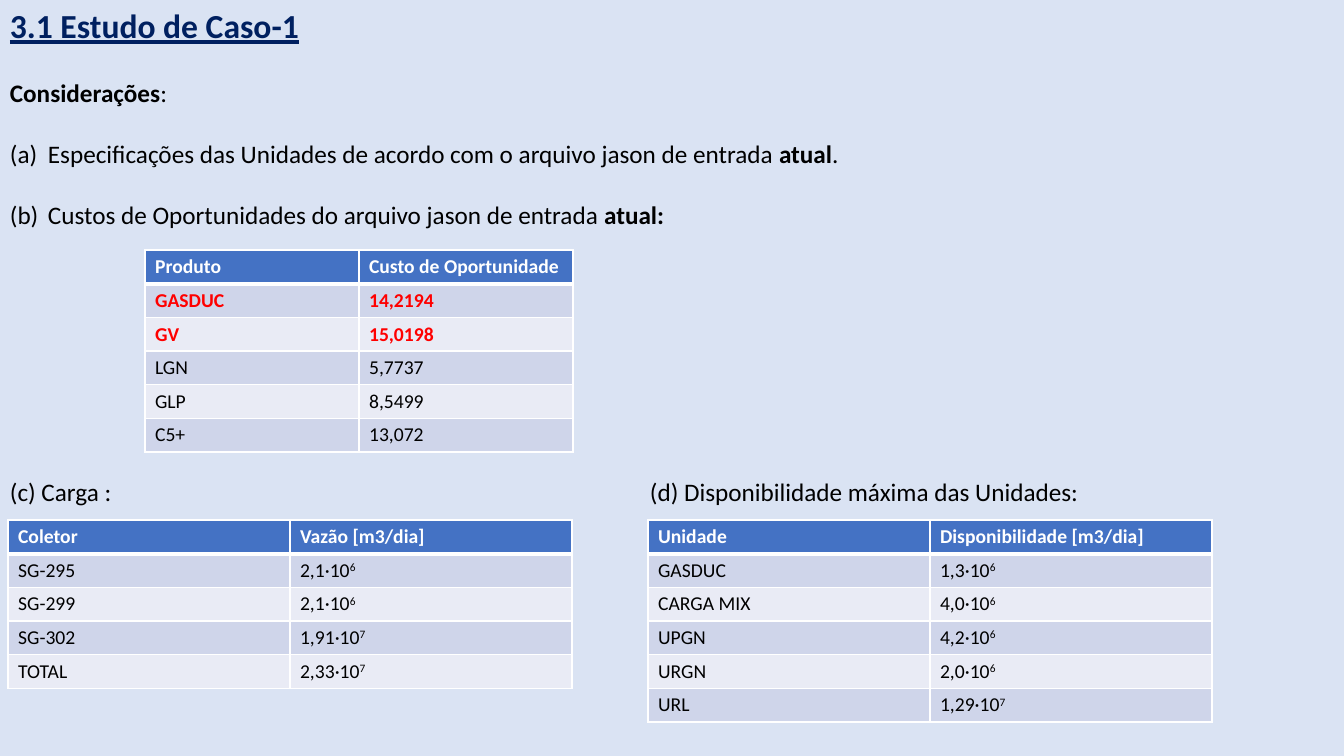
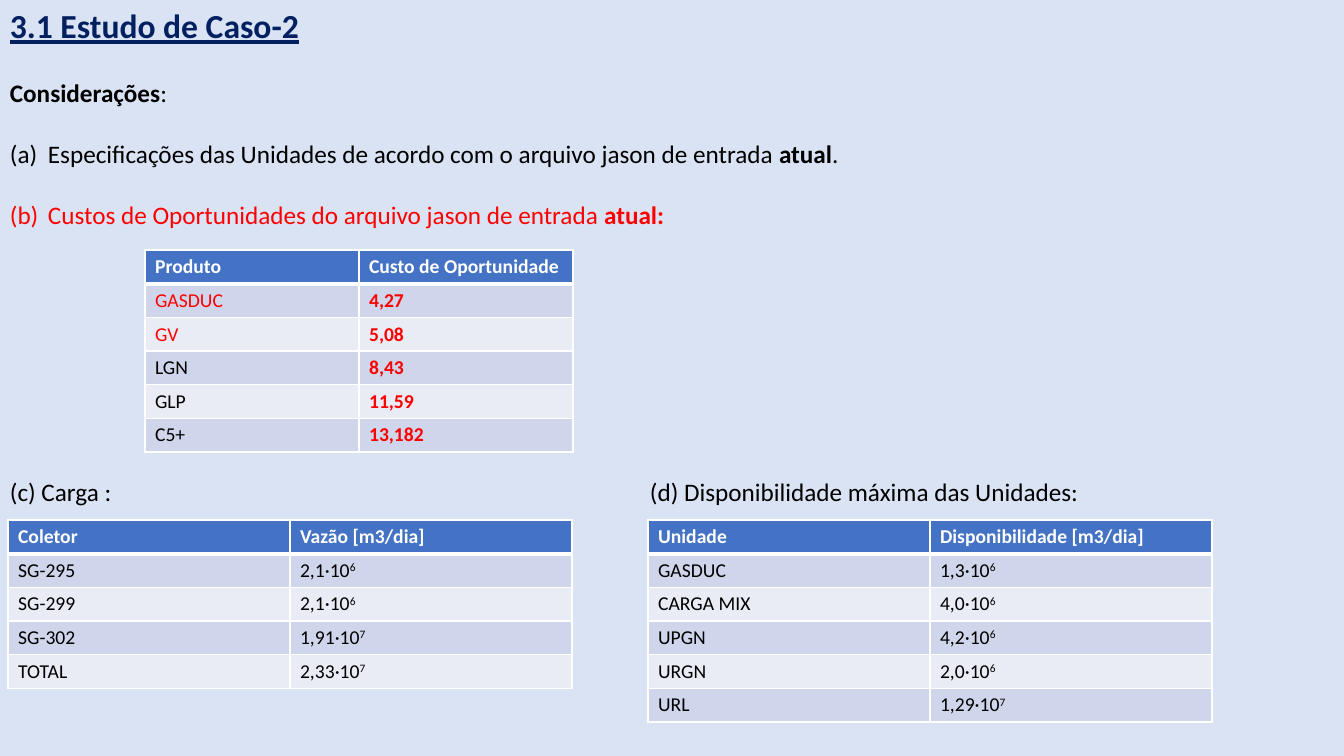
from lxml.etree import SubElement
from pptx import Presentation
from pptx.dml.color import RGBColor
from pptx.oxml.ns import qn
from pptx.util import Emu, Pt

PX = 914400 / 100.8
SLIDE_W, SLIDE_H = 1344, 756
FONT = "Calibri"
COLORS = {
    "background": "DAE3F3", "title": "002060", "text": "000000", "alert": "FF0000",
    "header": "4472C4", "odd": "CFD5EA", "even": "E9EBF5", "white": "FFFFFF",
}
TITLE_PT, BODY_PT, TABLE_PT = 24, 18, 14
ROW_H = 33

# Each style is (colour, bold)
PLAIN, BOLD = ("text", False), ("text", True)
RED, RED_BOLD = ("alert", False), ("alert", True)
HEADER = ("white", True)

COST_HEADER = ("Produto", "Custo de Oportunidade")
PRODUCTS = ("GASDUC", "GV", "LGN", "GLP", "C5+")
CASES = [
    {
        "title": "3.1 Estudo de Caso-1",
        "costs": ("14,2194", "15,0198", "5,7737", "8,5499", "13,072"),
        "cost_note": (PLAIN, BOLD),
        "product_styles": (RED_BOLD, RED_BOLD, PLAIN, PLAIN, PLAIN),
        "cost_styles": (RED_BOLD, RED_BOLD, PLAIN, PLAIN, PLAIN),
    },
    {
        "title": "3.1 Estudo de Caso-2",
        "costs": ("4,27", "5,08", "8,43", "11,59", "13,182"),
        "cost_note": (RED, RED_BOLD),
        "product_styles": (RED, RED, PLAIN, PLAIN, PLAIN),
        "cost_styles": (RED_BOLD,) * 5,
    },
]

# A caret marks the exponent of a value
FLOW_TABLES = [
    {
        "left": 8, "label": "(c) Carga :",
        "header": ("Coletor", "Vazão [m3/dia]"),
        "rows": [("SG-295", "2,1·10^6"), ("SG-299", "2,1·10^6"),
                 ("SG-302", "1,91·10^7"), ("TOTAL", "2,33·10^7")],
    },
    {
        "left": 648, "label": "(d) Disponibilidade máxima das Unidades:",
        "header": ("Unidade", "Disponibilidade [m3/dia]"),
        "rows": [("GASDUC", "1,3·10^6"), ("CARGA MIX", "4,0·10^6"), ("UPGN", "4,2·10^6"),
                 ("URGN", "2,0·10^6"), ("URL", "1,29·10^7")],
    },
]


def px(length):
    return Emu(round(length * PX))


def rgb(name):
    return RGBColor.from_string(COLORS[name])


def format_run(run, size, color, bold):
    font = run.font
    font.name, font.size, font.bold = FONT, Pt(size), bold
    font.color.rgb = rgb(color)


def add_runs(paragraph, runs, size):
    """Add (text, style) pairs to a paragraph."""
    for text, style in runs:
        run = paragraph.add_run()
        run.text = text
        format_run(run, size, *style)


def add_text_frame(slide, left, top, width, height):
    frame = slide.shapes.add_textbox(px(left), px(top), px(width), px(height)).text_frame
    frame.word_wrap = True
    return frame


def add_title(slide, title):
    paragraph = add_text_frame(slide, 0, 0, 916, 50).paragraphs[0]
    add_runs(paragraph, [(title, ("title", True))], TITLE_PT)
    paragraph.runs[0].font.underline = True


def number_paragraph(paragraph):
    """Number a paragraph as (a), (b), ... with a hanging indent."""
    properties = paragraph._p.get_or_add_pPr()
    properties.set("marL", str(px(38)))
    properties.set("indent", str(-px(38)))
    SubElement(properties, qn("a:buFont"), typeface="+mj-lt")
    SubElement(properties, qn("a:buAutoNum"), type="alphaLcParenBoth")


def add_considerations(slide, note_style, note_bold_style):
    considerations = [
        [("Considerações", BOLD), (":", PLAIN)],
        [("Especificações das Unidades de acordo com o arquivo jason de entrada ", PLAIN),
         ("atual", BOLD), (".", PLAIN)],
        [("Custos de Oportunidades do arquivo jason de entrada ", note_style),
         ("atual:", note_bold_style)],
    ]
    frame = add_text_frame(slide, 0, 72, 1100, 164)
    for index, runs in enumerate(considerations):
        paragraph = frame.add_paragraph() if index else frame.paragraphs[0]
        add_runs(paragraph, runs, BODY_PT)
        if index:
            paragraph.space_before = Pt(22)
            number_paragraph(paragraph)


def set_borders(cell, row):
    """Draw thin white borders, with a thick one under the header row."""
    properties = cell._tc.get_or_add_tcPr()
    thick_sides = {0: "lnB", 1: "lnT"}
    for position, side in enumerate(("lnL", "lnR", "lnT", "lnB")):
        weight = 3 if thick_sides.get(row) == side else 1
        line = SubElement(properties, qn(f"a:{side}"), w=str(Pt(weight)))
        fill = SubElement(line, qn("a:solidFill"))
        SubElement(fill, qn("a:srgbClr"), val=COLORS["white"])
        properties.insert(position, line)


def fill_cell(cell, row, text, style):
    base, _, exponent = text.partition("^")
    paragraph = cell.text_frame.paragraphs[0]
    add_runs(paragraph, [(base, style)], TABLE_PT)
    if exponent:
        add_runs(paragraph, [(exponent, style)], TABLE_PT)
        paragraph.runs[-1].font._element.set("baseline", "30000")
    cell.fill.solid()
    cell.fill.fore_color.rgb = rgb("header" if row == 0 else "odd" if row % 2 else "even")
    set_borders(cell, row)


def add_data_table(slide, left, top, column_width, header, rows):
    """Add a table whose rows hold (text, style) pairs."""
    lines = [[(text, HEADER) for text in header], *rows]
    table = slide.shapes.add_table(len(lines), len(header), px(left), px(top),
                                   px(column_width * len(header)),
                                   px(ROW_H * len(lines))).table
    for row, line in enumerate(lines):
        for column, (text, style) in enumerate(line):
            fill_cell(table.cell(row, column), row, text, style)


def add_case(prs, case):
    slide = prs.slides.add_slide(prs.slide_layouts[6])
    slide.background.fill.solid()
    slide.background.fill.fore_color.rgb = rgb("background")
    add_title(slide, case["title"])
    add_considerations(slide, *case["cost_note"])
    costs = zip(zip(PRODUCTS, case["product_styles"]),
                zip(case["costs"], case["cost_styles"]))
    add_data_table(slide, 145, 250, 214, COST_HEADER, costs)
    for flow in FLOW_TABLES:
        label = add_text_frame(slide, flow["left"] - 8, 471, 572, 41).paragraphs[0]
        add_runs(label, [(flow["label"], PLAIN)], BODY_PT)
        rows = [[(text, PLAIN) for text in row] for row in flow["rows"]]
        add_data_table(slide, flow["left"], 520, 282, flow["header"], rows)


def main():
    prs = Presentation()
    prs.slide_width, prs.slide_height = px(SLIDE_W), px(SLIDE_H)
    for case in CASES:
        add_case(prs, case)
    prs.save("out.pptx")


if __name__ == "__main__":
    main()
